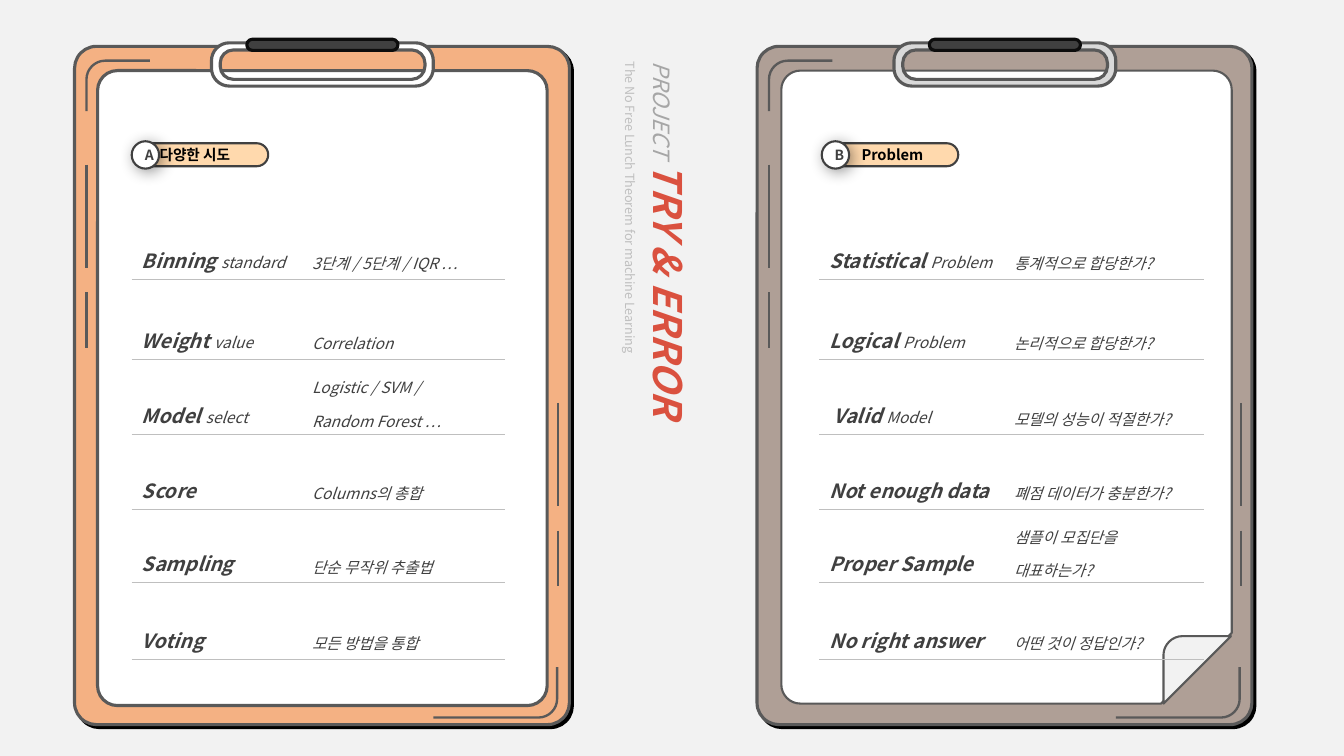
from math import cos, radians, sin

from lxml import etree
from pptx import Presentation
from pptx.dml.color import RGBColor
from pptx.enum.shapes import MSO_CONNECTOR, MSO_SHAPE
from pptx.enum.text import MSO_ANCHOR, MSO_AUTO_SIZE, PP_ALIGN
from pptx.oxml.ns import qn
from pptx.util import Cm, Pt

ROUND, OVAL = MSO_SHAPE.ROUNDED_RECTANGLE, MSO_SHAPE.OVAL
STRAIGHT = MSO_CONNECTOR.STRAIGHT
TOP, MIDDLE, BOTTOM = MSO_ANCHOR.TOP, MSO_ANCHOR.MIDDLE, MSO_ANCHOR.BOTTOM
LEFT, CENTER = PP_ALIGN.LEFT, PP_ALIGN.CENTER
NO_FIT = MSO_AUTO_SIZE.NONE
FONT = "Noto Sans CJK KR"
INK, EDGE, RULE, WHITE, PAPER = "404040", "595959", "BFBFBF", "FFFFFF", "F2F2F2"
NO_STYLE = "{2D5ABB26-0587-4C30-8999-92F81FD0307C}"
ROW_HEIGHTS = [2.18, 2.01, 1.9, 1.88, 1.85, 1.93]
TWO_LINES = 1.82
ATTEMPTS = [
    ("Binning ", "standard", ["3단계 / 5단계 / IQR …"]),
    ("Weight ", "value", ["Correlation"]),
    ("Model ", "select", ["Logistic / SVM /", "Random Forest …"]),
    ("Score", "", ["Columns의 총합"]),
    ("Sampling", "", ["단순 무작위 추출법"]),
    ("Voting", "", ["모든 방법을 통합"]),
]
PROBLEMS = [
    ("Statistical ", "Problem", ["통계적으로 합당한가?"]),
    ("Logical ", "Problem", ["논리적으로 합당한가?"]),
    (" Valid ", "Model", ["모델의 성능이 적절한가?"]),
    ("Not enough data", "", ["폐점 데이터가 충분한가?"]),
    ("Proper Sample", "", ["샘플이 모집단을", "대표하는가?"]),
    ("No right answer", "", ["어떤 것이 정답인가?"]),
]


def rgb(value):
    return RGBColor.from_string(value)


def turned(point, degrees):
    x, y = point
    c, d = cos(radians(degrees)), sin(radians(degrees))
    return x * c - y * d, x * d + y * c


def bend(start, corner, end):
    """Return a line to start and a quarter curve round the corner to end."""
    near, far = [tuple(p + 0.55 * (q - p) for p, q in zip(point, corner))
                 for point in (start, end)]
    return [[start], [near, far, end]]


def rounded(x, y, w, h, r):
    x2, y2 = x + w, y + h
    return (bend((x, y + r), (x, y), (x + r, y)) + bend((x2 - r, y), (x2, y), (x2, y + r))
            + bend((x2, y2 - r), (x2, y2), (x2 - r, y2))
            + bend((x + r, y2), (x, y2), (x, y2 - r)))


class Sheet:
    """Holds the slide, its style and the group being drawn."""

    def __init__(self, prs):
        self.s = prs.slides.add_slide(prs.slide_layouts[5])
        self.s.background.fill.solid()
        self.s.background.fill.fore_color.rgb = rgb(PAPER)
        self.shapes = self.s.shapes

    def group(self):
        self.shapes = self.s.shapes.add_group_shape().shapes

    def paint(self, sp, fill, line=None, width=1.5):
        sp.shadow.inherit = False
        sp.fill.solid()
        sp.fill.fore_color.rgb = rgb(fill)
        if line:
            sp.line.color.rgb = rgb(line)
            sp.line.width = Pt(width)
        else:
            sp.line.fill.background()
        return sp

    def shape(self, kind, x, y, w, h, fill, line, width=1.5, adj=None):
        sp = self.shapes.add_shape(kind, Cm(x), Cm(y), Cm(w), Cm(h))
        if adj is not None:
            sp.adjustments[0] = adj
        return self.paint(sp, fill, line, width)

    def shadow(self, sp, alpha, blur):
        effects = sp._element.spPr.find(qn("a:effectLst"))
        outer = etree.SubElement(effects, qn("a:outerShdw"), blurRad=str(Pt(blur)),
                                 dist=str(Pt(3)), dir="2700000", algn="tl", rotWithShape="0")
        color = etree.SubElement(outer, qn("a:srgbClr"), val="000000")
        etree.SubElement(color, qn("a:alpha"), val=str(alpha * 1000))

    def outline(self, contours, fill, line=None, width=1.5, turn=0):
        """Draw contours of steps; a step of three points is a curve."""
        builder = None
        for steps in contours:
            points = [turned(p, -turn) for step in steps for p in step]
            points = [(Cm(x), Cm(y)) for x, y in points]
            if builder:
                builder.move_to(*points[0])
            else:
                builder = self.shapes.build_freeform(*points[0])
            builder.add_line_segments(points[1:])
        sp = builder.convert_to_shape()
        segments = [e for e in sp._element.iter(qn("a:moveTo"), qn("a:lnTo"))]
        for step in (step for steps in contours for step in steps):
            first, *rest = [segments.pop(0) for _ in step]
            if rest:
                first.tag = qn("a:cubicBezTo")
                for segment in rest:
                    first.append(segment[0])
                    segment.getparent().remove(segment)
        if turn:
            cx, cy = turned((sp.left + sp.width / 2, sp.top + sp.height / 2), turn)
            sp.left, sp.top = round(cx - sp.width / 2), round(cy - sp.height / 2)
            sp.rotation = turn
        return self.paint(sp, fill, line, width)

    def stroke(self, x, y1, y2):
        c = self.shapes.add_connector(STRAIGHT, Cm(x), Cm(y1), Cm(x), Cm(y2))
        c.line.color.rgb = rgb(EDGE)
        c.line.width = Pt(1.5)
        etree.SubElement(c._element.spPr, qn("a:effectLst"))

    def corner(self, x, y, w):
        h, r, t = 1.3, 0.5, 0.06
        steps = [[(x + w, y)], *bend((x + r, y), (x, y), (x, y + r)),
                 [(x, y + h)], [(x + t, y + h)],
                 *bend((x + t, y + r), (x + t, y + t), (x + r, y + t)), [(x + w, y + t)]]
        return self.outline([steps], EDGE)

    def run(self, p, text, size, color, bold=False, italic=False):
        r = p.add_run()
        r.text = text
        f = r.font
        f.name, f.size, f.bold, f.italic = FONT, Pt(size), bold, italic
        f.color.rgb = rgb(color)
        etree.SubElement(r._r.get_or_add_rPr(), qn("a:ea"), typeface=FONT)

    def title(self):
        sp = self.s.shapes.title
        sp.left, sp.top, sp.width, sp.height = Cm(8.37), Cm(8.53), Cm(17.04), Cm(2.57)
        sp.rotation = 90
        tf = sp.text_frame
        tf.word_wrap, tf.auto_size, tf.vertical_anchor = True, NO_FIT, TOP
        for p in (tf.paragraphs[0], tf.add_paragraph()):
            p.alignment, p.line_spacing, p.space_before = LEFT, 1.5, Pt(0)
        self.run(tf.paragraphs[0], "PROJECT ", 16, "A6A6A6", italic=True)
        self.run(tf.paragraphs[0], "TRY & ERROR", 28, "DA513F", True, True)
        self.run(p, "The No Free Lunch Theorem for machine Learning", 9, RULE)

    def board(self, x, color, clip_color, folded):
        self.group()
        back = self.shape(ROUND, x, 1.17, 12.47, 17.09, color, EDGE, 2.25, 0.044)
        self.shadow(back, 100, 0)
        if folded:
            left, right, bottom, cut, r = x + 0.61, x + 11.96, 17.73, 1.78, 0.48
            page = rounded(left, 1.78, right - left, bottom - 1.78, r)
            page[4:6] = [[(right, bottom - cut)], [(right - cut, bottom)]]
            self.outline([page], WHITE, EDGE, turn=45)
            left, right, top = x + 10.24, x + 11.94, 16.03
            fold = [[(left, bottom)], *bend((left, top + r), (left, top), (left + r, top)),
                    [(right, top)]]
            self.outline([fold], PAPER, EDGE, turn=45)
        else:
            self.shape(ROUND, x + 0.58, 1.78, 11.33, 16, WHITE, EDGE, 2.25, 0.044)
        for dash_x, y in ((x + 0.3, 4.15), (x + 12.19, 10.15)):
            self.stroke(dash_x, y, y + 2.61)
            self.stroke(dash_x, y + 3.22, y + 4.61)
        self.corner(x + 0.27, 1.5, 1.63)
        self.corner(x + 9.04, 16.81, 3.15).rotation = 180
        ring = [rounded(x + 3.67, 1.26, 5.16, 0.74, 0.33),
                rounded(x + 3.45, 1.08, 5.59, 1.09, 0.45)]
        self.outline(ring, clip_color, EDGE, 2.25)
        self.shape(ROUND, x + 4.34, 0.99, 3.81, 0.28, INK, "0D0D0D", 2.25, 0.5)

    def label(self, sp, text, size, color, inset, align):
        tf = sp.text_frame
        tf.margin_left, tf.margin_right = Cm(inset), 0
        tf.margin_top = tf.margin_bottom = 0
        tf.word_wrap, tf.vertical_anchor = False, MIDDLE
        tf.paragraphs[0].alignment = align
        self.run(tf.paragraphs[0], text, size, color, True)

    def tag(self, x, letter, text, inset):
        self.group()
        pill = self.shape(ROUND, x + 0.04, 3.61, 3.4, 0.58, "FFD9AD", INK, adj=0.5)
        self.label(pill, text, 10.5, "000000", inset, LEFT)
        badge = self.shape(OVAL, x, 3.56, 0.69, 0.69, WHITE, INK)
        self.shadow(badge, 40, 11)
        self.label(badge, letter, 10, INK, 0.2, CENTER)

    def table(self, x, widths, rows):
        frame = self.s.shapes.add_table(len(rows), 2, Cm(x), Cm(4.86),
                                        Cm(sum(widths)), Cm(sum(ROW_HEIGHTS)))
        table = frame.table
        table.first_row = table.horz_banding = False
        table._tbl.tblPr.find(qn("a:tableStyleId")).text = NO_STYLE
        for column, width in zip(table.columns, widths):
            column.width = Cm(width)
        for row, height, (name, kind, lines) in zip(table.rows, ROW_HEIGHTS, rows):
            row.height = Cm(height)
            for cell in row.cells:
                self.underline(cell)
            if len(lines) > 1:
                row.cells[1].margin_bottom = Cm(height - TWO_LINES)
            head, body = (cell.text_frame for cell in row.cells)
            self.run(head.paragraphs[0], name, 14, INK, True, True)
            if kind:
                self.run(head.paragraphs[0], kind, 11, INK, italic=True)
            for i, text in enumerate(lines):
                p = body.add_paragraph() if i else body.paragraphs[0]
                p.line_spacing = 1.5
                self.run(p, text, 11, INK, italic=True)

    def underline(self, cell):
        cell.vertical_anchor = BOTTOM
        cell.fill.background()
        border = etree.Element(qn("a:lnB"), w=str(Pt(1)))
        fill = etree.SubElement(border, qn("a:solidFill"))
        etree.SubElement(fill, qn("a:srgbClr"), val=RULE)
        cell._tc.get_or_add_tcPr().insert(0, border)


def main():
    prs = Presentation()
    prs.slide_width, prs.slide_height = Cm(33.87), Cm(19.05)
    sheet = Sheet(prs)
    sheet.title()
    sheet.board(1.88, "F4B183", WHITE, False)
    sheet.board(19.08, "AF9F96", "D9D9D9", True)
    sheet.table(20.65, [4.65, 5.05], PROBLEMS)
    sheet.table(3.32, [4.29, 5.11], ATTEMPTS)
    sheet.tag(3.32, "A", "다양한 시도", 0.58)
    sheet.tag(20.71, "B", "Problem", 0.88)
    prs.save("out.pptx")


if __name__ == "__main__":
    main()
